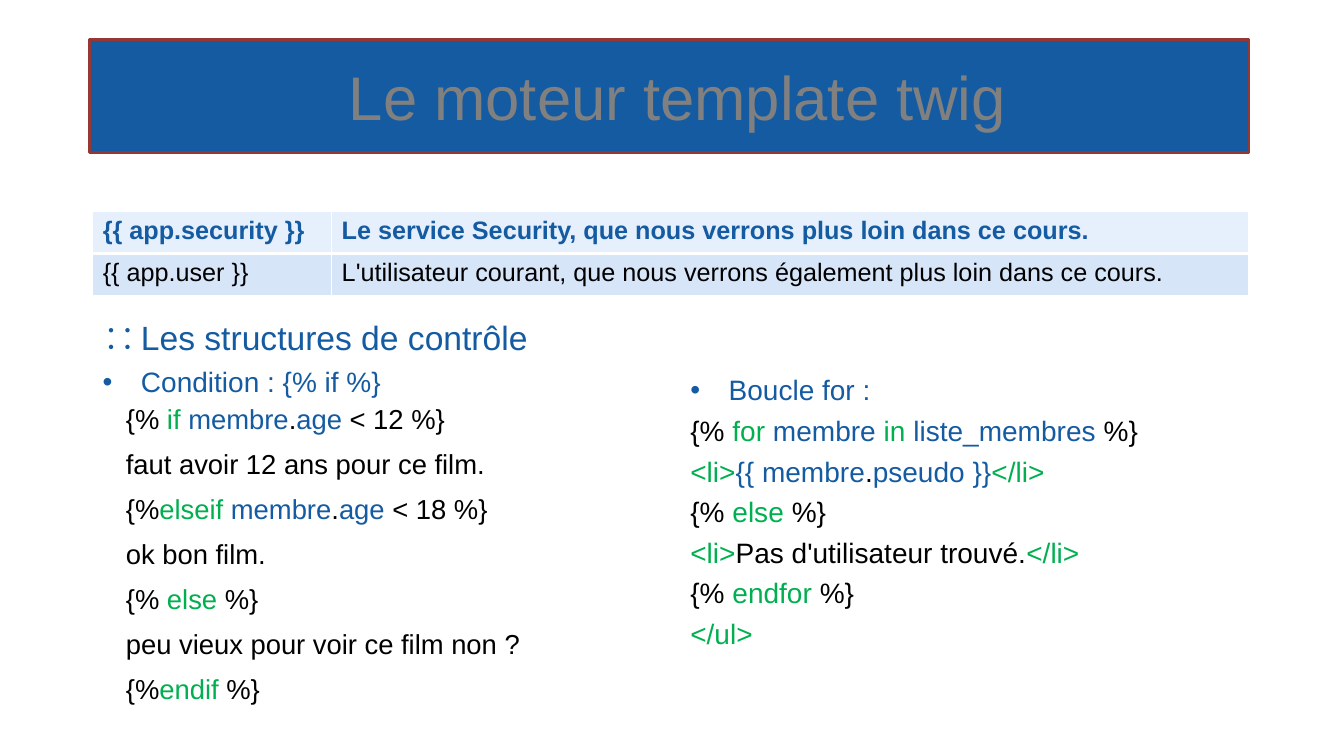
from dataclasses import dataclass

from lxml import etree
from pptx import Presentation
from pptx.dml.color import RGBColor
from pptx.enum.shapes import MSO_SHAPE
from pptx.enum.text import MSO_ANCHOR, PP_ALIGN
from pptx.oxml.ns import qn
from pptx.util import Emu, Inches, Pt

RECTANGLE = MSO_SHAPE.RECTANGLE
MIDDLE, TOP = MSO_ANCHOR.MIDDLE, MSO_ANCHOR.TOP
CENTER, LEFT = PP_ALIGN.CENTER, PP_ALIGN.LEFT
SLIDE_WIDTH, SLIDE_HEIGHT = Inches(13.33), Inches(7.5)
BULLET_INDENT = Inches(0.38)


@dataclass(frozen=True)
class Theme:
    font: str = "Arial"
    blue: str = "145BA2"
    green: str = "00B050"
    black: str = "000000"
    white: str = "FFFFFF"
    title: str = "808080"
    title_border: str = "953735"
    row_fills: tuple[str, ...] = ("E5F0FC", "D7E5F9")
    title_size: float = 44
    heading_size: float = 24
    body_size: float = 20
    condition_size: float = 19.6
    table_size: float = 18


THEME = Theme()


@dataclass(frozen=True)
class Area:
    """A rectangle in percent of the slide's width and height."""
    left: float
    top: float
    width: float
    height: float

    def box(self) -> tuple[Emu, Emu, Emu, Emu]:
        return (across(self.left), down(self.top),
                across(self.width), down(self.height))


@dataclass(frozen=True)
class Span:
    text: str
    color: str = THEME.black
    bold: bool = False


@dataclass(frozen=True)
class Para:
    spans: tuple[Span, ...]
    size: float = THEME.body_size
    bullet: str = ""
    before: float = 5
    line_spacing: float = 1.0
    align: PP_ALIGN = LEFT


def across(percent: float) -> Emu:
    return Emu(round(SLIDE_WIDTH * percent / 100))


def down(percent: float) -> Emu:
    return Emu(round(SLIDE_HEIGHT * percent / 100))


def keyword(text: str) -> Span:
    return Span(text, THEME.green)


def name(text: str) -> Span:
    return Span(text, THEME.blue)


def condition_line(*spans: Span) -> Para:
    return Para(spans, THEME.condition_size, before=10.9, line_spacing=0.9)


def loop_line(*spans: Span) -> Para:
    return Para(spans)


TITLE_AREA = Area(6.68, 5.2, 86.25, 14.93)
TABLE_AREA = Area(6.9, 28, 86.03, 11.07)
TABLE_COLUMNS = (17.78, 68.25)
TITLE = (Para((Span(" Le moteur template twig", THEME.title),),
              THEME.title_size, align=CENTER),)
VARIABLES = (
    ("{{ app.security }}",
     "Le service Security, que nous verrons plus loin dans ce cours."),
    ("{{ app.user }}",
     "L'utilisateur courant, que nous verrons également plus loin dans ce cours."),
)
TEXT_BLOCKS = (
    (Area(6.9, 41.33, 86.25, 48.8), (
        Para((name("Les structures de contrôle"),), THEME.heading_size, "∷"),
        Para((name("Condition : {% if %}"),), bullet="•"),
    )),
    (Area(8.63, 53.07, 39.08, 42.53), (
        condition_line(Span("{% "), keyword("if "), name("membre"), Span("."),
                       name("age "), Span("< 12 %}")),
        condition_line(Span("faut avoir 12 ans pour ce film.")),
        condition_line(Span("{%"), keyword("elseif "), name("membre"), Span("."),
                       name("age "), Span("< 18 %}")),
        condition_line(Span("ok bon film.")),
        condition_line(Span("{% "), keyword("else "), Span("%}")),
        condition_line(Span("peu vieux pour voir ce film non ?")),
        condition_line(Span("{%"), keyword("endif "), Span("%}")),
    )),
    (Area(50.63, 48.67, 36.83, 47.6), (
        Para((name("Boucle for :"),), bullet="•"),
        loop_line(Span("{% "), keyword("for "), name("membre "), keyword("in "),
                  name("liste_membres"), Span(" %}")),
        loop_line(keyword("<li>"), name("{{ membre"), Span("."),
                  name("pseudo }}"), keyword("</li>")),
        loop_line(Span("{%"), keyword(" else "), Span("%}")),
        loop_line(keyword("<li>"), Span("Pas d'utilisateur trouvé."),
                  keyword("</li>")),
        loop_line(Span("{% "), keyword("endfor "), Span("%}")),
        loop_line(keyword("</ul>")),
    )),
)


def set_bullet(paragraph, mark: str) -> None:
    properties = paragraph._p.get_or_add_pPr()
    properties.set("marL", str(BULLET_INDENT))
    properties.set("indent", str(-BULLET_INDENT))
    etree.SubElement(properties, qn("a:buFont"), typeface=THEME.font)
    etree.SubElement(properties, qn("a:buChar"), char=mark)


def write(frame, paras: tuple[Para, ...]) -> None:
    frame.word_wrap = True
    for index, para in enumerate(paras):
        paragraph = frame.add_paragraph() if index else frame.paragraphs[0]
        paragraph.alignment = para.align
        paragraph.line_spacing = para.line_spacing
        paragraph.space_before = Pt(para.before if index else 0)
        if para.bullet:
            set_bullet(paragraph, para.bullet)
        for span in para.spans:
            run = paragraph.add_run()
            run.text = span.text
            run.font.name, run.font.size = THEME.font, Pt(para.size)
            run.font.bold = span.bold
            run.font.color.rgb = RGBColor.from_string(span.color)


def add_title(slide) -> None:
    banner = slide.shapes.add_shape(RECTANGLE, *TITLE_AREA.box())
    banner.shadow.inherit = False
    banner.fill.solid()
    banner.fill.fore_color.rgb = RGBColor.from_string(THEME.blue)
    banner.line.color.rgb = RGBColor.from_string(THEME.title_border)
    banner.line.width = Pt(2)
    banner.text_frame.vertical_anchor = MIDDLE
    write(banner.text_frame, TITLE)


def set_borders(cell, widths: dict[str, float]) -> None:
    properties = cell._tc.get_or_add_tcPr()
    for side, width in widths.items():
        line = etree.SubElement(properties, qn(f"a:ln{side}"), w=str(Pt(width)))
        fill = etree.SubElement(line, qn("a:solidFill"))
        etree.SubElement(fill, qn("a:srgbClr"), val=THEME.white)


def add_variables(slide) -> None:
    frame = slide.shapes.add_table(len(VARIABLES), len(TABLE_COLUMNS),
                                   *TABLE_AREA.box())
    table = frame.table
    table.first_row = table.horz_banding = False
    for column, width in zip(table.columns, TABLE_COLUMNS):
        column.width = across(width)
    for row, texts in enumerate(VARIABLES):
        header = row == 0
        for column, text in enumerate(texts):
            cell = table.cell(row, column)
            set_borders(cell, {"L": 1, "R": 1, "T": 1 if header else 3,
                               "B": 3 if header else 1})
            cell.fill.solid()
            cell.fill.fore_color.rgb = RGBColor.from_string(THEME.row_fills[row])
            color = THEME.blue if header else THEME.black
            write(cell.text_frame,
                  (Para((Span(text, color, header),), THEME.table_size),))


def main() -> None:
    deck = Presentation()
    deck.slide_width, deck.slide_height = SLIDE_WIDTH, SLIDE_HEIGHT
    slide = deck.slides.add_slide(deck.slide_layouts[6])
    add_title(slide)
    add_variables(slide)
    for area, paras in TEXT_BLOCKS:
        box = slide.shapes.add_textbox(*area.box())
        box.text_frame.vertical_anchor = TOP
        write(box.text_frame, paras)
    deck.save("out.pptx")


if __name__ == "__main__":
    main()
